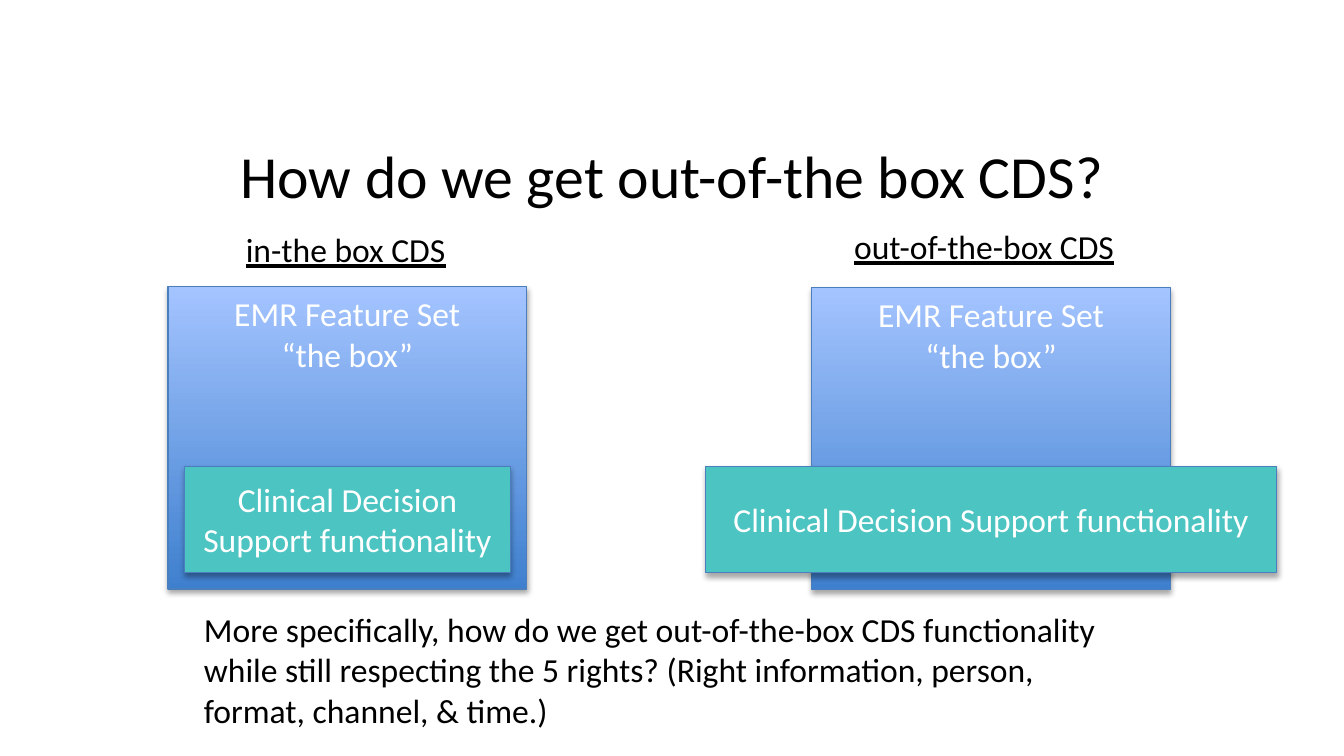
from dataclasses import dataclass

from lxml.etree import SubElement
from pptx import Presentation
from pptx.dml.color import RGBColor
from pptx.enum.shapes import MSO_SHAPE as Preset
from pptx.enum.text import MSO_ANCHOR as Anchor, PP_ALIGN as Align
from pptx.oxml.ns import qn
from pptx.util import Pt


@dataclass(frozen=True)
class Theme:
    font: str = "Calibri"
    title_size: float = 32
    body_size: float = 18
    text: str = "000000"
    box_text: str = "FFFFFF"
    box_bottom: str = "3F80CE"
    box_top: str = "A4C4FF"
    support: str = "4BC4C2"
    outline: str = "4B7EBC"
    shadow: str = "000000"


THEME = Theme()
BOX_SIZE = (192.2, 162)
SUPPORT_TOP, SUPPORT_HEIGHT = 249.8, 56.9


def color(value):
    return RGBColor.from_string(value)


def write(frame, lines, size, text_color, align, underline=None):
    for index, line in enumerate(lines):
        paragraph = frame.paragraphs[0] if index == 0 else frame.add_paragraph()
        paragraph.alignment = align
        run = paragraph.add_run()
        run.text = line
        run.font.name = THEME.font
        run.font.size = Pt(size)
        run.font.color.rgb = color(text_color)
        run.font.underline = underline


def add_text(slide, bounds, text, size=THEME.body_size, align=Align.LEFT,
             wrap=True, underline=None):
    frame = slide.shapes.add_textbox(*map(Pt, bounds)).text_frame
    frame.word_wrap = wrap
    write(frame, [text], size, THEME.text, align, underline)


def add_shadow(shape):
    shape.shadow.inherit = False
    effects = shape.element.spPr.find(qn("a:effectLst"))
    outer = SubElement(effects, qn("a:outerShdw"), blurRad=str(Pt(3.1)),
                       dist=str(Pt(1.8)), dir="5400000", rotWithShape="0")
    tint = SubElement(outer, qn("a:srgbClr"), val=THEME.shadow)
    SubElement(tint, qn("a:alpha"), val="35000")


def add_rectangle(slide, bounds, lines, anchor):
    shape = slide.shapes.add_shape(Preset.RECTANGLE, *map(Pt, bounds))
    shape.line.color.rgb = color(THEME.outline)
    shape.line.width = Pt(0.75)
    frame = shape.text_frame
    frame.word_wrap = True
    frame.vertical_anchor = anchor
    write(frame, lines, THEME.body_size, THEME.box_text, Align.CENTER)
    return shape


def add_feature_box(slide, left, top):
    shape = add_rectangle(slide, (left, top, *BOX_SIZE),
                          ["EMR Feature Set", "“the box”"], Anchor.TOP)
    shape.fill.gradient()
    shape.fill.gradient_angle = 90
    stops = shape.fill.gradient_stops
    for stop, position, value in zip(stops, (0, 1), (THEME.box_bottom, THEME.box_top)):
        stop.position = position
        stop.color.rgb = color(value)
    add_shadow(shape)


def add_support_box(slide, left, width):
    shape = add_rectangle(slide, (left, SUPPORT_TOP, width, SUPPORT_HEIGHT),
                          ["Clinical Decision Support functionality"], Anchor.MIDDLE)
    shape.fill.solid()
    shape.fill.fore_color.rgb = color(THEME.support)
    add_shadow(shape)


def main():
    presentation = Presentation()
    presentation.slide_width, presentation.slide_height = Pt(720), Pt(405)
    slide = presentation.slides.add_slide(presentation.slide_layouts[6])

    add_text(slide, (49.7, 70.6, 620.6, 38.9), "How do we get out-of-the box CDS?",
             THEME.title_size, Align.CENTER)

    add_feature_box(slide, 90, 153.5)
    add_support_box(slide, 99, 174.4)
    add_feature_box(slide, 434.9, 154)
    add_support_box(slide, 378, 306)

    add_text(slide, (124.6, 119, 123, 29), "in-the box CDS", wrap=False, underline=True)
    add_text(slide, (450.5, 117.4, 160.6, 29), "out-of-the-box CDS",
             wrap=False, underline=True)
    add_text(slide, (102.2, 322.6, 516.2, 72.7),
             "More specifically, how do we get out-of-the-box CDS functionality "
             "while still respecting the 5 rights? (Right information, person, "
             "format, channel, & time.)")

    presentation.save("out.pptx")


if __name__ == "__main__":
    main()
